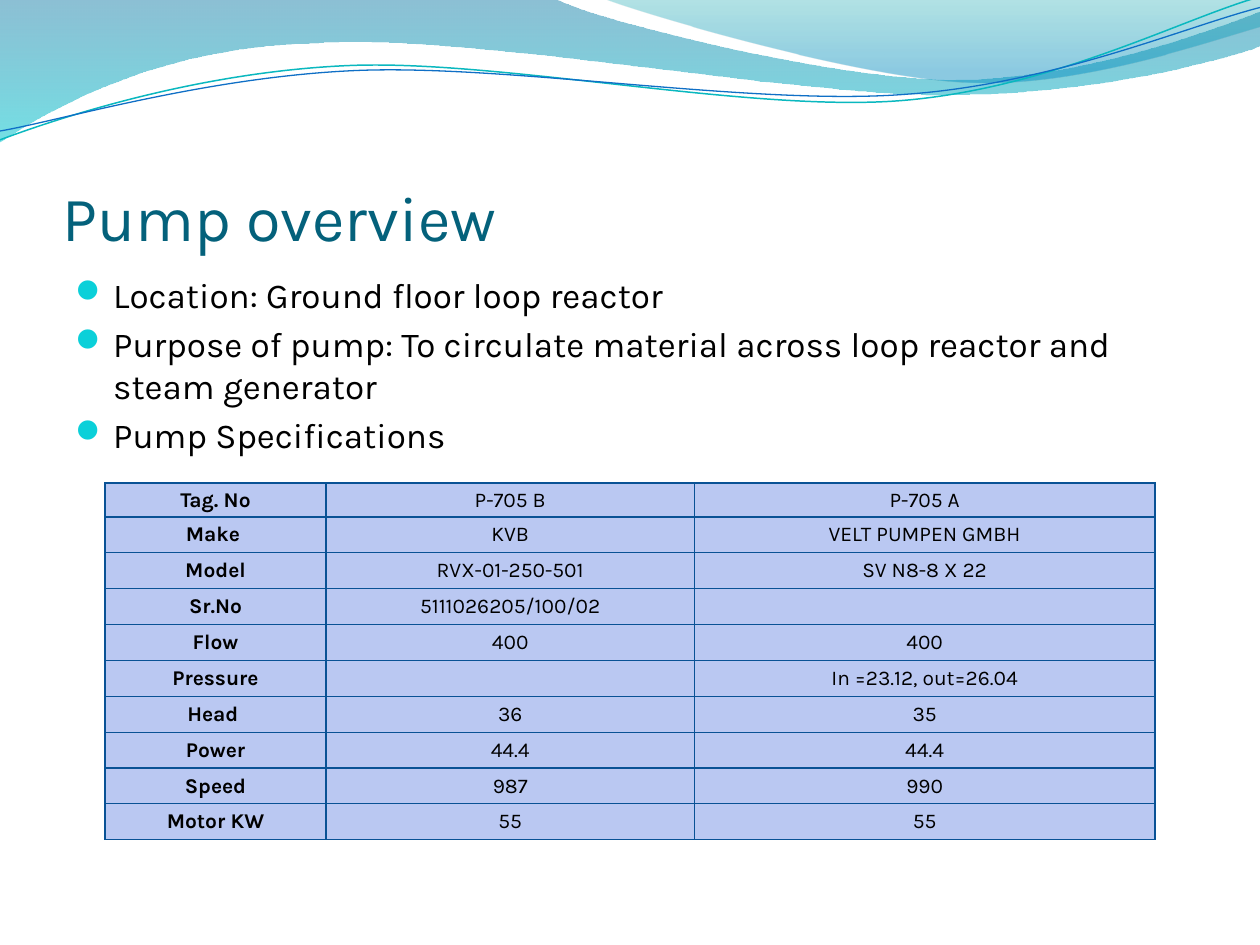
"""Build the pump overview slide with its wave header and specification table."""
import math
from lxml import etree
from pptx import Presentation, util as u
from pptx.dml.color import RGBColor
from pptx.enum import text
from pptx.oxml.ns import qn

FONT = "Karla"
TITLE = "Pump overview"
POINTS = [
    "Location: Ground floor loop reactor",
    "Purpose of pump: To circulate material across loop reactor and steam generator",
    "Pump Specifications",
]
SPECS = [
    ("Tag. No", "P-705 B", "P-705 A"),
    ("Make ", "KVB", "VELT PUMPEN GMBH"),
    ("Model", "RVX-01-250-501", "SV N8-8 X 22"),
    ("Sr.No", "5111026205/100/02", ""),
    ("Flow", "400", "400"),
    ("Pressure", "", "In =23.12, out=26.04"),
    ("Head ", "36", "35"),
    ("Power", "44.4", "44.4"),
    ("Speed", "987", "990"),
    ("Motor KW", "55", "55"),
]
COLUMN_SHARES = (6, 10, 12.5)
SPECS_WIDTH, SPECS_HEIGHT, SPECS_TOP = 25 / 3, 17 / 6, 23 / 6
HEAD_ROW = 0.27
WAVES = [
    {"start": (0, 0), "stops": [(0, "0074A1", 45), (1, "00C6CF", 55)],
     "steps": [(4.4, -0.01), (4.76, 0.17, 6.64, 0.63, 7.58, 0.63),
               (8.53, 0.63, 9.58, 0.26, 10, 0.09), (10.01, 0.36),
               (9.83, 0.44, 8.7, 0.76, 7.46, 0.75), (6.22, 0.75, 3.82, 0.28, 2.57, 0.34),
               (1.29, 0.36, 0.46, 0.83, -0.01, 1.13), (0, 0)]},
    {"start": (4.79, -0.01), "stops": [(0, "00A1A9", 30), (0.8, "008BBF", 45)],
     "steps": [(5.09, 0.11, 6.82, 0.62, 7.69, 0.65), (8.56, 0.69, 9.61, 0.32, 10, 0.21),
               (10, 0), (4.79, -0.01)]},
]
STRANDS = [
    {"start": (0, 1.11), "line": ("0AB8BF", 0.85), "centre": (4.99, 0.58),
     "steps": [(0.48, 0.93, 1.58, 0.57, 2.77, 0.52), (3.95, 0.47, 5.93, 0.89, 7.13, 0.8),
               (8.33, 0.71, 9.38, 0.15, 9.98, -0.02)]},
    {"start": (0, 1.04), "line": ("0F6FC6", 0.75), "centre": (5, 0.59),
     "steps": [(0.47, 0.96, 1.64, 0.61, 2.83, 0.56), (4.03, 0.51, 5.97, 0.84, 7.17, 0.75),
               (8.36, 0.67, 9.41, 0.21, 10, 0.06)]},
]
TILT = -2.7


def colour(value):
    """Return a colour from a hex string."""
    return RGBColor.from_string(value)


def apply(target, values):
    """Set each attribute named in a dict."""
    for name, value in values.items():
        setattr(target, name, value)


def turn(point, centre, degrees):
    """Turn a point about a centre."""
    angle = math.radians(degrees)
    x, y = point[0] - centre[0], point[1] - centre[1]
    return (centre[0] + x * math.cos(angle) - y * math.sin(angle),
            centre[1] + x * math.sin(angle) + y * math.cos(angle))


def outline(slide, start, steps, close, centre=(0, 0), degrees=0):
    """Add a freeform of straight steps (one point) and Bezier steps (three points)."""
    points = [start] + [step[i:i + 2] for step in steps for i in range(0, len(step), 2)]
    turned = [turn(point, centre, degrees) for point in points]
    places = [(u.Inches(x), u.Inches(y)) for x, y in turned]
    builder = slide.shapes.build_freeform(*places[0])
    builder.add_line_segments(places[1:], close=close)
    shape = builder.convert_to_shape()
    shape.shadow.inherit = False
    segments = iter(list(shape._element.iter(qn("a:lnTo"))))
    for step in steps:
        first = next(segments)
        if len(step) == 6:
            first.tag
            curve = etree.Element(qn("a:cubicBezTo"))
            first.addprevious(curve)
            for segment in (first, next(segments), next(segments)):
                curve.append(segment[0])
                segment.getparent().remove(segment)
    return shape


def write(paragraph, words, size, ink, bold=False):
    """Add a formatted run to a paragraph."""
    run = paragraph.add_run()
    run.text = words
    apply(run.font, {"name": FONT, "size": u.Pt(size), "bold": bold})
    run.font.color.rgb = colour(ink)


def add_box(slide, place, values):
    """Add a wrapping text box and return its frame."""
    frame = slide.shapes.add_textbox(*map(u.Inches, place)).text_frame
    apply(frame, {"word_wrap": True, **values})
    return frame


def add_bullet(paragraph):
    """Give a paragraph a hanging round bullet and space before it."""
    props = paragraph._p.get_or_add_pPr()
    props.set("marL", str(u.Inches(0.3)))
    props.set("indent", str(-u.Inches(0.3)))
    space = etree.SubElement(props, qn("a:spcBef"))
    etree.SubElement(space, qn("a:spcPct"), val="20000")
    tint = etree.SubElement(props, qn("a:buClr"))
    etree.SubElement(tint, qn("a:srgbClr"), val="0BD0D9")
    etree.SubElement(props, qn("a:buSzPct"), val="95000")
    etree.SubElement(props, qn("a:buFont"), typeface="Wingdings 2")
    etree.SubElement(props, qn("a:buChar"), char="\uf097")


def add_borders(cell, ink, width):
    """Draw the four borders of a cell."""
    props = cell._tc.get_or_add_tcPr()
    for i, side in enumerate(("lnL", "lnR", "lnT", "lnB")):
        border = etree.Element(qn("a:" + side), w=str(u.Pt(width)))
        fill = etree.SubElement(border, qn("a:solidFill"))
        etree.SubElement(fill, qn("a:srgbClr"), val=ink)
        props.insert(i, border)


deck = Presentation()
apply(deck, {"slide_width": u.Inches(10), "slide_height": u.Inches(7.5)})
slide = deck.slides.add_slide(deck.slide_layouts[6])

for wave in WAVES:
    shape = outline(slide, wave["start"], wave["steps"], True)
    shape.line.fill.background()
    shape.fill.gradient()
    shape.fill.gradient_angle = 270
    for stop, (position, tint, _) in zip(shape.fill.gradient_stops, wave["stops"]):
        stop.position = position
        stop.color.rgb = colour(tint)
    for tint, (_, _, alpha) in zip(shape._element.iter(qn("a:srgbClr")), wave["stops"]):
        etree.SubElement(tint, qn("a:alpha"), val=str(alpha * 1000))

for strand in STRANDS:
    shape = outline(slide, strand["start"], strand["steps"], False, strand["centre"], -TILT)
    shape.rotation = TILT
    shape.fill.background()
    ink, width = strand["line"]
    shape.line.color.rgb = colour(ink)
    shape.line.width = u.Pt(width)

title = add_box(slide, (0.5, 0.77, 9, 1.25), {
    "vertical_anchor": text.MSO_ANCHOR.BOTTOM, "margin_left": 0, "margin_right": 0,
    "margin_bottom": 0})
write(title.paragraphs[0], TITLE, 36, "04617B")

body = add_box(slide, (0.5, 2.12, 9, 4.8), {})
for i, point in enumerate(POINTS):
    paragraph = body.add_paragraph() if i else body.paragraphs[0]
    add_bullet(paragraph)
    write(paragraph, point, 20, "000000")

specs = slide.shapes.add_table(len(SPECS), len(COLUMN_SHARES), *map(
    u.Inches, ((10 - SPECS_WIDTH) / 2, SPECS_TOP, SPECS_WIDTH, SPECS_HEIGHT))).table
apply(specs, {"first_row": False, "horz_banding": False})
for column, share in zip(specs.columns, COLUMN_SHARES):
    column.width = u.Inches(SPECS_WIDTH * share / sum(COLUMN_SHARES))
other_row = (SPECS_HEIGHT - HEAD_ROW) / (len(SPECS) - 1)
for r, entries in enumerate(SPECS):
    specs.rows[r].height = u.Inches(other_row if r else HEAD_ROW)
    for c, entry in enumerate(entries):
        cell = specs.cell(r, c)
        apply(cell, {"vertical_anchor": text.MSO_ANCHOR.MIDDLE, "margin_left": 0,
                     "margin_right": 0, "margin_top": 0, "margin_bottom": 0})
        cell.fill.solid()
        cell.fill.fore_color.rgb = colour("BAC8F2")
        add_borders(cell, "095295", 0.75)
        paragraph = cell.text_frame.paragraphs[0]
        apply(paragraph, {"alignment": text.PP_ALIGN.CENTER, "space_before": u.Pt(0.1),
                          "space_after": u.Pt(0.1)})
        if entry:
            write(paragraph, entry, 12, "000000", c == 0)
        else:
            etree.SubElement(paragraph._p, qn("a:endParaRPr"), sz="1200")

deck.save("out.pptx")
